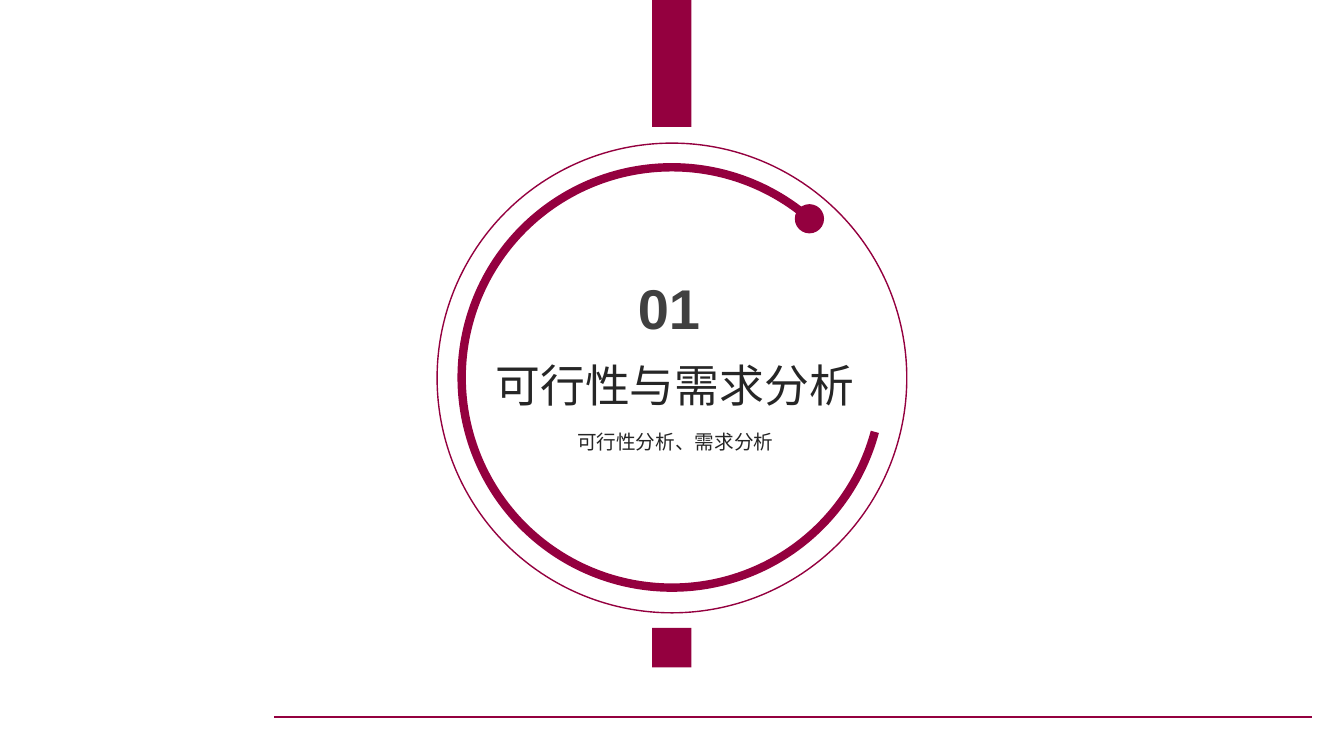
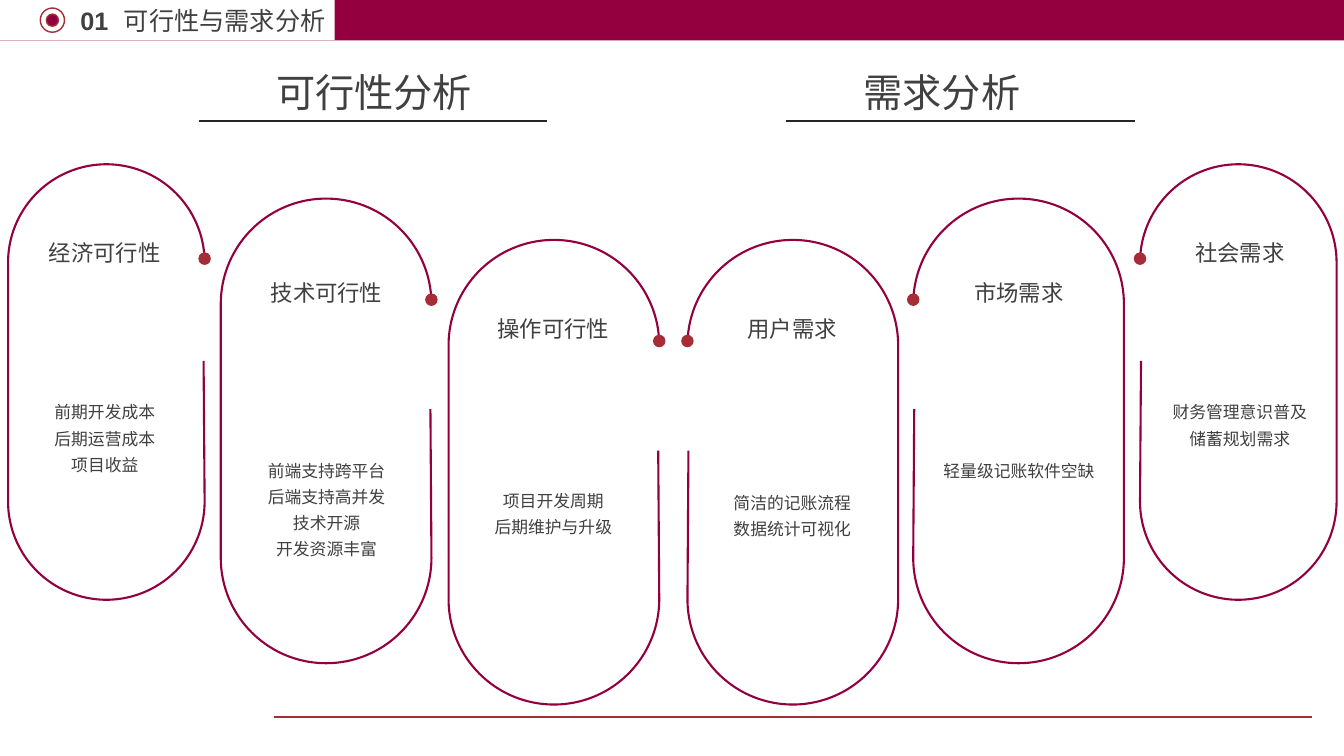
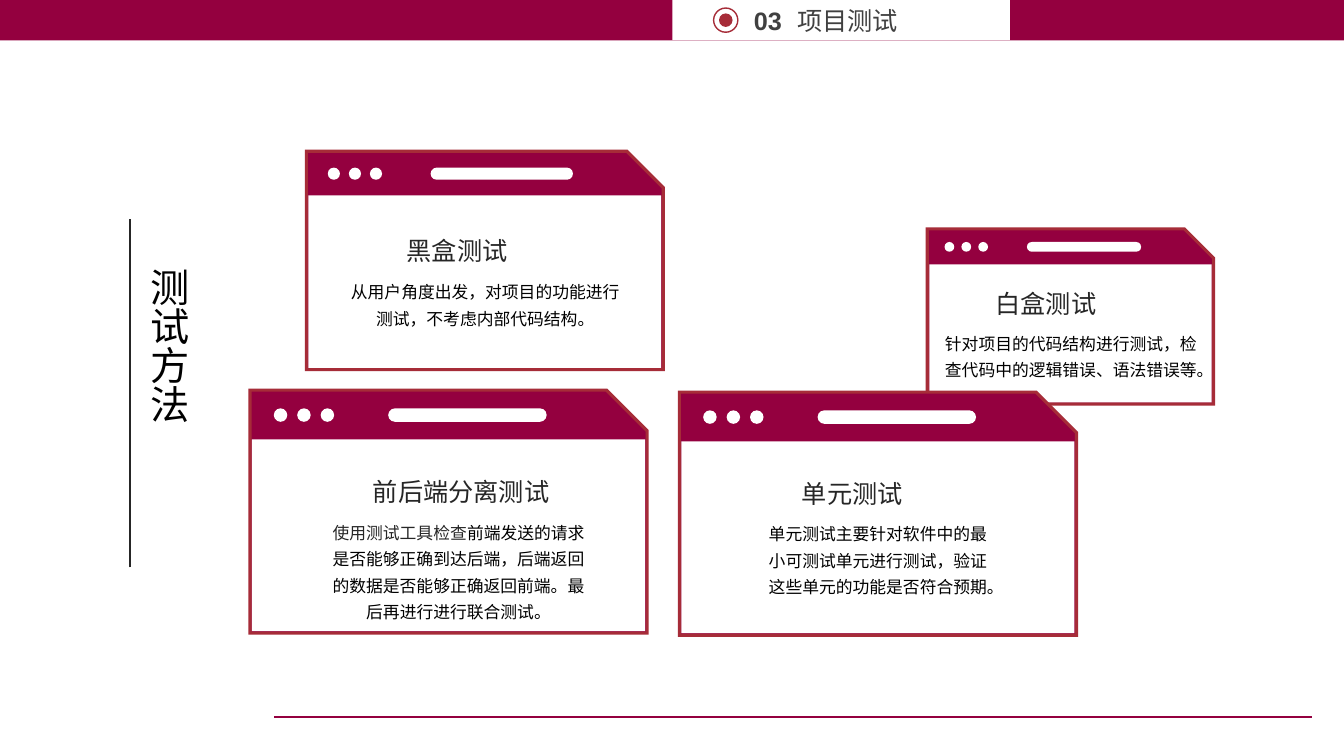
from lxml import etree
from pptx import Presentation
from pptx.dml.color import RGBColor
from pptx.enum.lang import MSO_LANGUAGE_ID
from pptx.enum.shapes import MSO_CONNECTOR, MSO_SHAPE
from pptx.enum.text import MSO_AUTO_SIZE, PP_ALIGN
from pptx.oxml.ns import qn
from pptx.util import Inches, Pt

RECT = MSO_SHAPE.RECTANGLE
STRIP = MSO_SHAPE.ROUND_2_SAME_RECTANGLE
OVAL = MSO_SHAPE.OVAL
ARC = MSO_SHAPE.ARC
SNIP = MSO_SHAPE.SNIP_ROUND_RECTANGLE
ROUND = MSO_SHAPE.ROUNDED_RECTANGLE
STRAIGHT = MSO_CONNECTOR.STRAIGHT
LEFT, MID, FULL = PP_ALIGN.LEFT, PP_ALIGN.CENTER, PP_ALIGN.JUSTIFY
GROW = MSO_AUTO_SIZE.SHAPE_TO_FIT_TEXT
CHINESE = MSO_LANGUAGE_ID.SIMPLIFIED_CHINESE

HEX = {"wine": "94003F", "red": "A62C38", "white": "FFFFFF",
       "black": "000000", "dark": "262626", "grey": "404040"}
WIDE, TALL = 40 / 3, 7.5
BAND = 0.4
DEGREE = 60000


def tint(name):
    return RGBColor.from_string(HEX[name])


def style(item, fill=None, line=None, width=1):
    """Set fill and mitred outline, with None for neither, and drop the shadow."""
    item.shadow.inherit = False
    if fill:
        item.fill.solid()
        item.fill.fore_color.rgb = tint(fill)
    else:
        item.fill.background()
    if line:
        item.line.color.rgb = tint(line)
        item.line.width = Pt(width)
        edge = item.element.spPr.find(qn("a:ln"))
        etree.SubElement(edge, qn("a:miter"), lim="800000")
    else:
        item.line.fill.background()


def shape(slide, kind, x, y, w, h, adj=(), rot=0, **look):
    item = slide.shapes.add_shape(kind, Inches(x), Inches(y), Inches(w), Inches(h))
    for i, value in enumerate(adj):
        item.adjustments[i] = value
    item.rotation = rot
    style(item, **look)


def disc(slide, x, y, size, **look):
    """Draw a circle around the point x, y."""
    shape(slide, OVAL, x - size / 2, y - size / 2, size, size, **look)


def rule(slide, x1, y1, x2, y2, color, width=1):
    item = slide.shapes.add_connector(
        STRAIGHT, Inches(x1), Inches(y1), Inches(x2), Inches(y2))
    item.line.color.rgb = tint(color)
    item.line.width = Pt(width)
    etree.SubElement(item.element.spPr, qn("a:effectLst"))


def text(slide, x, y, w, h, paras, size=12, font="Arial", color="grey",
         bold=False, align=LEFT, space=None, wrap=True, vert=None):
    """Each paragraph is a string or a list of (string, font, colour) runs."""
    box = slide.shapes.add_textbox(Inches(x), Inches(y), Inches(w), Inches(h))
    frame = box.text_frame
    frame.word_wrap = wrap
    frame.auto_size = GROW
    if vert:
        box.element.txBody.bodyPr.set("vert", vert)
    for i, para in enumerate(paras):
        line = frame.add_paragraph() if i else frame.paragraphs[0]
        line.alignment = align
        line.line_spacing = space
        runs = [(para, font, color)] if isinstance(para, str) else para
        for words, face, shade in runs:
            run = line.add_run()
            run.text = words
            run.font.size = Pt(size)
            run.font.name = face
            run.font.bold = bold
            run.font.color.rgb = tint(shade)
            run.font.language_id = CHINESE


def start(deck, color="wine"):
    """Add a blank slide with the footer rule."""
    slide = deck.slides.add_slide(deck.slide_layouts[6])
    rule(slide, 2.72, 7.11, 13.02, 7.11, color, 1.25)
    return slide


def header(slide, x, w, lead, num, name, core):
    """Draw the top band and a white tab whose content starts from lead."""
    shape(slide, STRIP, 0, 0, WIDE, BAND, adj=(0, 0), rot=180, fill="wine")
    shape(slide, RECT, x, 0, w, BAND, fill="white")
    disc(slide, lead + 0.52, BAND / 2, 0.24, line="red")
    disc(slide, lead + 0.52, BAND / 2, 0.12, fill=core, line="red")
    text(slide, lead + 1.13, 0, 2.41, BAND, [name], size=18)
    text(slide, lead + 0.7, 0, 0.48, BAND, [num], size=18, bold=True, wrap=False)


def pill(slide, x, y, w, h, side):
    """Outline a capsule with a gap and a dot on the side: 1 right, -1 left."""
    r = w / 2
    mid = x + r
    near, far = mid + side * r, mid - side * r
    dots = [(near - side * 0.01, y + w), (near, y + h - r), (mid, y + h),
            (far, y + h - r), (far, y + r), (mid, y), (near, y + r)]
    dots = [(Inches(a), Inches(b)) for a, b in dots]
    path = slide.shapes.build_freeform(*dots[0])
    path.add_line_segments(dots[1:], close=False)
    item = path.convert_to_shape()
    style(item, line="wine", width=1.5)
    steps = list(item.element.iter(qn("a:lnTo")))
    first = 0 if side > 0 else 180
    radius = str(Inches(r))
    for i, turn in ((1, 0), (2, 90), (4, 180), (5, 270)):
        bow = etree.Element(qn("a:arcTo"), wR=radius, hR=radius,
                            stAng=str((first + side * turn) % 360 * DEGREE),
                            swAng=str(side * 90 * DEGREE))
        steps[i].getparent().replace(steps[i], bow)
    disc(slide, near, y + 0.48 * w, 0.11, fill="red", line="red")


def column(slide, x, y, w, h, side, mid, top, name, low, lines):
    pill(slide, x, y, w, h, side)
    text(slide, mid - 0.85, top, 1.7, 0.37, [name], size=16, align=MID)
    text(slide, mid - 0.92, low, 1.84, 0.35 + 0.26 * (len(lines) - 1), lines,
         align=MID, space=1.3)


def window(slide, x, y, w):
    """Draw a browser window whose parts all scale with its width."""
    shape(slide, SNIP, x, y, w, 0.612 * w, adj=(0, 0.167),
          fill="wine", line="red", width=2.25)
    shape(slide, RECT, x + 0.02, y + 0.124 * w, w - 0.04, 0.483 * w, fill="white")
    size, top = 0.034 * w, y + 0.046 * w
    for i in range(3):
        shape(slide, OVAL, x + (0.06 + 0.059 * i) * w, top, size, size, fill="white")
    shape(slide, ROUND, x + 0.348 * w, top, 0.399 * w, size, adj=(0.5,), fill="white")


def cover(deck):
    slide = start(deck)
    text(slide, 4.8, 3.5, 3.79, 0.64, ["可行性与需求分析"], size=32,
         color="dark", align=MID, wrap=False)
    text(slide, 5.04, 4.15, 3.32, 0.38, ["可行性分析、需求分析"], size=14,
         color="dark", align=MID, space=1.3)
    text(slide, 6.23, 2.66, 0.83, 0.77, ["01"], size=40, bold=True, wrap=False)
    disc(slide, WIDE / 2, TALL / 2, 4.66, line="wine")
    shape(slide, ARC, 4.58, 1.66, 4.17, 4.17, adj=(162, 123.11),
          rot=105, line="wine", width=6)
    disc(slide, 8.03, 2.17, 0.29, fill="wine")
    for top, high in ((0, 1.26), (6.23, 0.39)):
        shape(slide, RECT, 6.47, top, 0.39, high, fill="wine")


def needs(deck):
    slide = start(deck, "red")
    header(slide, 0, 3.32, 0, "01", "可行性与需求分析", "wine")
    for x, left, name in ((2.64, 1.97, "可行性分析"), (8.47, 7.8, "需求分析")):
        text(slide, x, 0.63, 2.17, 0.57, [name], size=28)
        rule(slide, left, 1.2, left + 3.46, 1.2, "dark")
    outer, inner, low = (1.63, 1.95, 4.32), (1.97, 2.09, 4.61), (2.38, 2.09, 4.61)
    for x, form, side, *words in (
        (0.08, outer, 1, 1.04, 2.32, "经济可行性", 3.88,
         ["前期开发成本", "后期运营成本", "项目收益"]),
        (2.19, inner, 1, 3.24, 2.72, "技术可行性", 4.46,
         ["前端支持跨平台", "后端支持高并发", "技术开源", "开发资源丰富"]),
        (4.45, low, 1, 5.49, 3.08, "操作可行性", 4.76,
         ["项目开发周期", "后期维护与升级"]),
        (6.82, low, -1, 7.86, 3.08, "用户需求", 4.78,
         ["简洁的记账流程", "数据统计可视化"]),
        (9.06, inner, -1, 10.11, 2.72, "市场需求", 4.46, ["轻量级记账软件空缺"]),
        (11.31, outer, -1, 12.3, 2.32, "社会需求", 3.88,
         ["财务管理意识普及", "储蓄规划需求"]),
    ):
        column(slide, x, *form, side, *words)


def tests(deck):
    slide = start(deck)
    header(slide, 6.67, 3.35, 6.68, "03", "项目测试", "red")
    split = [("使用测试工具检查", "Arial", "dark"),
             ("前端发送的请求是否能够正确到达后端，后端返回的数据是否能够正确返回前端。"
              "最后再进行进行联合测试。", "Inter", "black")]
    for frame, head, name, body, font, words in (
        ((3.04, 1.5, 3.54), (3.93, 2.29, 1.21), "黑盒测试",
         (3.38, 2.69, 2.87, 0.6), "Inter",
         "从用户角度出发，对项目的功能进行测试，不考虑内部代码结构。"),
        ((9.2, 2.27, 2.84), (9.77, 2.81, 1.21), "白盒测试",
         (9.24, 3.2, 2.77, 0.6), "Inter",
         "针对项目的代码结构进行测试，检查代码中的逻辑错误、语法错误等。"),
        ((2.48, 3.87, 3.94), (3.59, 4.68, 1.97), "前后端分离测试",
         (3.2, 5.08, 2.7, 1.13), "Inter", split),
        ((6.74, 3.89, 3.94), (7.85, 4.7, 1.21), "单元测试",
         (7.46, 5.09, 2.5, 0.87), "Arial",
         "单元测试主要针对软件中的最小可测试单元进行测试，验证这些单元的功能是否符合预期。"),
    ):
        window(slide, *frame)
        text(slide, *body, [words], font=font, color="black", align=MID, space=1.3)
        text(slide, *head, 0.4, [name], size=18, color="dark", align=MID, wrap=False)
    rule(slide, 1.29, 5.63, 1.29, 2.17, "dark")
    text(slide, 1.29, 2.56, 0.67, 2.67, ["测试方法"], size=28, color="black",
         align=FULL, vert="eaVert")


def main():
    deck = Presentation()
    deck.slide_width, deck.slide_height = Inches(WIDE), Inches(TALL)
    cover(deck)
    needs(deck)
    tests(deck)
    deck.save("out.pptx")


if __name__ == "__main__":
    main()
